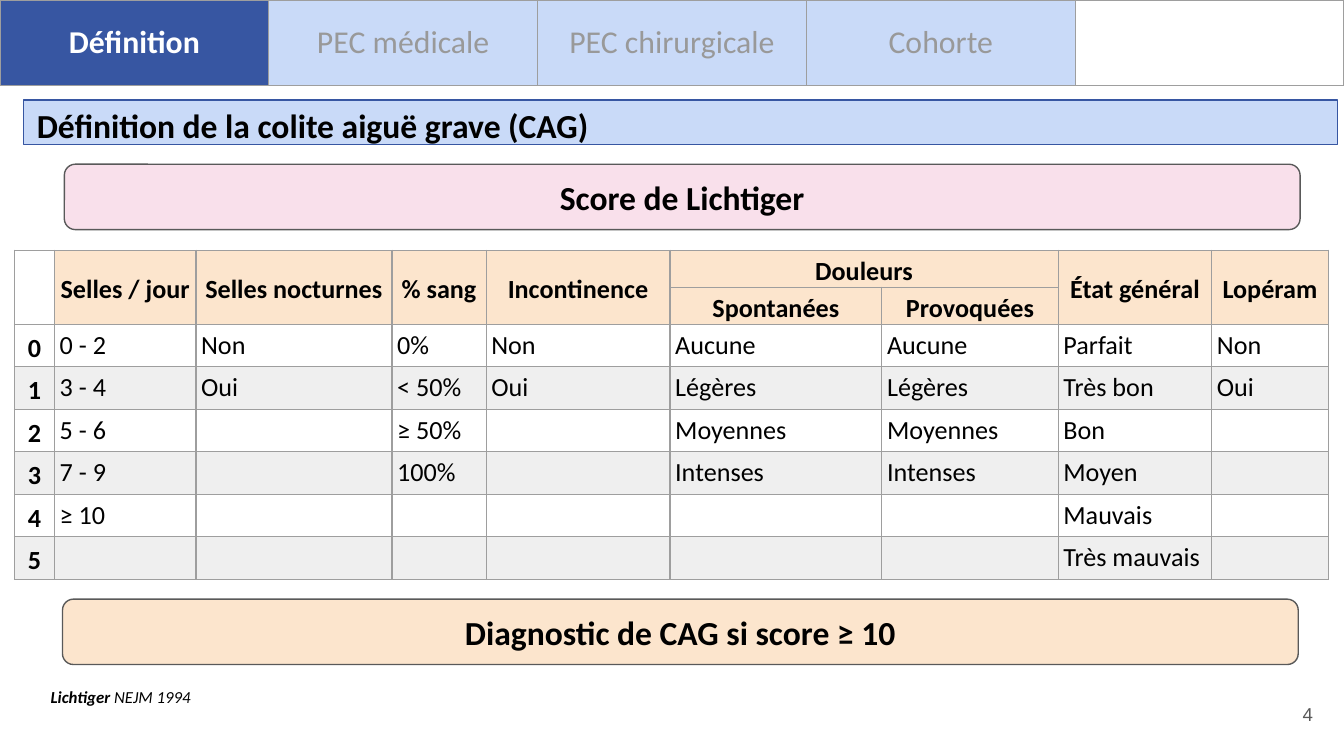
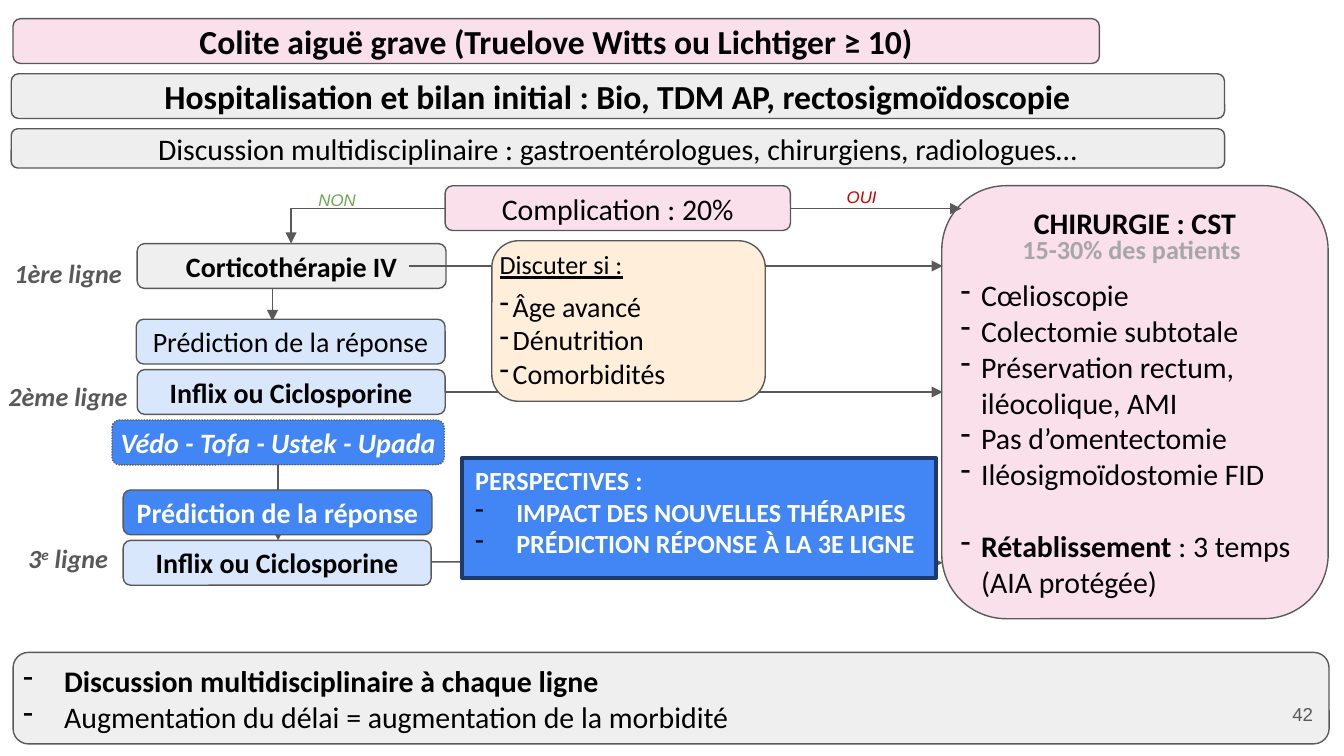
"""Build two slides on severe acute colitis: Lichtiger score and treatment pathway."""
from dataclasses import dataclass
from typing import Any, Optional, Sequence

from lxml.etree import SubElement
from pptx import Presentation
from pptx.dml.color import RGBColor
from pptx.enum.dml import MSO_LINE
from pptx.enum.shapes import MSO_CONNECTOR as Link, MSO_SHAPE as Preset
from pptx.enum.text import MSO_ANCHOR as Anchor, MSO_AUTO_SIZE as AutoSize, PP_ALIGN as Align
from pptx.oxml.ns import qn
from pptx.util import Pt

BLACK, WHITE, GREY = "000000", "FFFFFF", "595959"
PINK, PEACH, CREAM = "F9E0EB", "FCE5CD", "FFEED9"
SILVER, PEARL, PALE_BLUE = "EFEFEF", "EEEEEE", "D9E7FD"
BLUE, NAVY, SKY = "4285F4", "3756A2", "C9DAF8"
GRID, TAB_GREY, SHARE_GREY = "9E9E9E", "999999", "A6A6A6"
GREEN, RED, DARK_NAVY = "6AA84F", "CC0000", "1D3A6B"
BLANK_LINE = 19.5


@dataclass(frozen=True)
class Box:
    left: float
    top: float
    width: float
    height: float
    fill: str
    text: str = ""
    size: float = 15
    bold: bool = True
    italic: bool = False
    color: str = BLACK
    preset: Any = Preset.ROUNDED_RECTANGLE
    outline: str = GREY
    weight: float = 0.75
    dash: Any = None


@dataclass(frozen=True)
class Arrow:
    x1: float
    y1: float
    x2: float
    y2: float
    bent: bool = False


def rgb(value: str) -> RGBColor:
    return RGBColor.from_string(value)


def paint(fill, color: str) -> None:
    fill.solid()
    fill.fore_color.rgb = rgb(color)


def set_frame(frame, inset: float = 0, anchor=Anchor.TOP, side: Optional[float] = None,
              wrap: bool = True) -> None:
    frame.auto_size = AutoSize.NONE
    frame.word_wrap = wrap
    frame.vertical_anchor = anchor
    frame.margin_top = frame.margin_bottom = Pt(inset)
    frame.margin_left = frame.margin_right = Pt(inset if side is None else side)


def write(frame, text: str, *, size: float = 15, bold: bool = False, italic: bool = False,
          underline: bool = False, color: str = BLACK, font: str = "Calibri",
          align=Align.LEFT, hanging: float = 0, before: float = 0, spacing: float = 1,
          raised: bool = False, same_line: bool = False) -> None:
    para = frame.paragraphs[-1]
    if para.runs and not same_line:
        para = frame.add_paragraph()
    if not same_line:
        para.alignment = align
        para.line_spacing = spacing
        para.space_before = Pt(before)
    if hanging:
        props = para._p.get_or_add_pPr()
        props.set("marL", str(Pt(hanging)))
        props.set("indent", str(-Pt(hanging)))
        SubElement(SubElement(props, qn("a:buClr")), qn("a:srgbClr"), val=BLACK)
        SubElement(props, qn("a:buChar"), char="-")
    if not text:
        SubElement(para._p, qn("a:endParaRPr"), sz=str(int(size * 100)))
        return
    span = para.add_run()
    span.text = text
    style = span.font
    style.name, style.size, style.color.rgb = font, Pt(size), rgb(color)
    style.bold, style.italic, style.underline = bold, italic, underline
    if raised:
        span._r.get_or_add_rPr().set("baseline", "30000")


def add_box(page, box: Box):
    shape = page.shapes.add_shape(box.preset, Pt(box.left), Pt(box.top), Pt(box.width), Pt(box.height))
    shape.shadow.inherit = False
    paint(shape.fill, box.fill)
    paint(shape.line.fill, box.outline)
    shape.line.width = Pt(box.weight)
    if box.dash:
        shape.line.dash_style = box.dash
    set_frame(shape.text_frame, anchor=Anchor.MIDDLE)
    if box.text:
        write(shape.text_frame, box.text, size=box.size, bold=box.bold, italic=box.italic,
              color=box.color, align=Align.CENTER)
    return shape


def add_panel(page, box: Box, inset: float = 0, side: Optional[float] = None):
    frame = add_box(page, box).text_frame
    set_frame(frame, inset, side=side)
    return frame


def add_label(page, left: float, top: float, width: float, height: float, text: str, *,
              inset: float = 7.2, anchor=Anchor.TOP, wrap: bool = True, **style):
    frame = page.shapes.add_textbox(Pt(left), Pt(top), Pt(width), Pt(height)).text_frame
    set_frame(frame, inset, anchor, wrap=wrap)
    write(frame, text, **style)
    return frame


def add_arrow(page, arrow: Arrow) -> None:
    kind = Link.ELBOW if arrow.bent else Link.STRAIGHT
    link = page.shapes.add_connector(kind, Pt(arrow.x1), Pt(arrow.y1), Pt(arrow.x2), Pt(arrow.y2))
    props = link._element.spPr
    if arrow.bent:
        props.find(qn("a:prstGeom")).set("prst", "bentConnector2")
    paint(link.line.fill, GREY)
    link.line.width = Pt(0.75)
    SubElement(link.line._get_or_add_ln(), qn("a:tailEnd"), type="triangle")
    SubElement(props, qn("a:effectLst"))


def place_title(page, text: str, left: float, top: float, width: float, height: float,
                side: float = 7.2, **style):
    title = page.shapes.title
    title.left, title.top, title.width, title.height = Pt(left), Pt(top), Pt(width), Pt(height)
    set_frame(title.text_frame, 0, Anchor.MIDDLE, side)
    write(title.text_frame, text, size=18, bold=True, **style)
    page.shapes._spTree.append(title._element)
    return title


def add_page_number(page, number: str) -> None:
    add_label(page, 667.5, 367, 43, 31, number, anchor=Anchor.MIDDLE, size=10, font="Arial",
              color=GREY, align=Align.RIGHT)


def add_grid(page, left: float, top: float, widths: Sequence[float], heights: Sequence[float]):
    table = page.shapes.add_table(len(heights), len(widths), Pt(left), Pt(top),
                                  Pt(sum(widths)), Pt(sum(heights))).table
    table.first_row = table.horz_banding = False
    for column, width in zip(table.columns, widths):
        column.width = Pt(width)
    for row, height in zip(table.rows, heights):
        row.height = Pt(height)
    return table


def fill_cell(cell, text: str, fill: str, *, bottom: float = 0, side: float = 2.8,
              anchor=Anchor.TOP, **style) -> None:
    cell.margin_left = cell.margin_right = Pt(side)
    cell.margin_top, cell.margin_bottom = Pt(2.8), Pt(bottom)
    cell.vertical_anchor = anchor
    props = cell._tc.get_or_add_tcPr()
    for edge in ("a:lnL", "a:lnR", "a:lnT", "a:lnB"):
        line = SubElement(props, qn(edge), w=str(Pt(0.75)))
        SubElement(SubElement(line, qn("a:solidFill")), qn("a:srgbClr"), val=GRID)
    paint(cell.fill, fill)
    write(cell.text_frame, text, **style)


SECTIONS = ("Définition", "PEC médicale", "PEC chirurgicale", "Cohorte", "")
SCORE_WIDTHS = (21.5, 75.75, 105, 50.5, 98.5, 113.5, 94.5, 82.25, 62.5)
SCORE_HEADERS = (
    ("", "Selles / jour", "Selles nocturnes", "% sang", "Incontinence", "Douleurs", "",
     "État général", "Lopéram"),
    ("", "", "", "", "", "Spontanées", "Provoquées", "", ""),
)
SCORE_ROWS = (
    ("0 - 2", "Non", "0%", "Non", "Aucune", "Aucune", "Parfait", "Non"),
    ("3 - 4", "Oui", "< 50%", "Oui", "Légères", "Légères", "Très bon", "Oui"),
    ("5 - 6", "", "≥ 50%", "", "Moyennes", "Moyennes", "Bon", ""),
    ("7 - 9", "", "100%", "", "Intenses", "Intenses", "Moyen", ""),
    ("≥ 10", "", "", "", "", "", "Mauvais", ""),
    ("", "", "", "", "", "", "Très mauvais", ""),
)


def add_section_tabs(page, active: str) -> None:
    tabs = add_grid(page, 0, 0, [144] * len(SECTIONS), [45.75])
    for cell, name in zip(tabs.rows[0].cells, SECTIONS):
        current = name == active
        fill = NAVY if current else SKY if name else WHITE
        fill_cell(cell, name, fill, bottom=2.8, anchor=Anchor.MIDDLE, size=17, bold=current,
                  color=WHITE if current else TAB_GREY, align=Align.CENTER)


def add_score_table(page) -> None:
    table = add_grid(page, 7.75, 134, SCORE_WIDTHS, [19.75] * 2 + [22.8] * len(SCORE_ROWS))
    heading = dict(anchor=Anchor.MIDDLE, size=14, bold=True, align=Align.CENTER)
    for row, names in enumerate(SCORE_HEADERS):
        for column, name in enumerate(names):
            fill_cell(table.cell(row, column), name, PEACH if column else WHITE, **heading)
    for column in (0, 1, 2, 3, 4, 7, 8):
        table.cell(0, column).merge(table.cell(1, column))
    table.cell(0, 5).merge(table.cell(0, 6))
    for points, values in enumerate(SCORE_ROWS):
        cells = list(table.rows[points + 2].cells)
        fill = SILVER if points % 2 else WHITE
        fill_cell(cells[0], str(points), fill, **heading)
        for cell, value in zip(cells[1:], values):
            fill_cell(cell, value, fill, size=14)


def build_score_page(deck) -> None:
    page = deck.slides.add_slide(deck.slide_layouts[5])
    add_box(page, Box(34.5, 88, 662, 35, PINK, "Score de Lichtiger", 18))
    source = add_label(page, 20, 328, 700, 58, "Lichtiger ", anchor=Anchor.BOTTOM, size=9,
                       bold=True, italic=True)
    write(source, "NEJM 1994", size=9, italic=True, same_line=True)
    add_score_table(page)
    add_box(page, Box(33.5, 321, 662, 35, PEACH, "Diagnostic de CAG si score ≥ 10", 18))
    add_page_number(page, "4")
    add_section_tabs(page, "Définition")
    title = place_title(page, "Définition de la colite aiguë grave (CAG)", 12.5, 53.5, 704, 24,
                        spacing=1.15)
    paint(title.fill, SKY)
    paint(title.line.fill, NAVY)
    title.line.width = Pt(0.75)


ARROWS = (
    Arrow(423.5, 111.75, 515, 111.75),
    Arrow(146, 155, 146, 172),
    Arrow(238.5, 210, 505, 210),
    Arrow(219, 142.5, 505, 142.5),
    Arrow(238.5, 111.75, 156, 130.5, bent=True),
    Arrow(149, 249, 149, 289.5),
    Arrow(231, 301, 505, 301.5),
)
CARE_STEPS = (
    Box(73.5, 198, 165, 24, PALE_BLUE, "Inflix ou Ciclosporine"),
    Box(73, 171, 165.5, 24, PALE_BLUE, "Prédiction de la réponse", bold=False),
    Box(66, 289.5, 165, 24, PALE_BLUE, "Inflix ou Ciclosporine"),
    Box(60, 225, 178, 24, BLUE, "Védo - Tofa - Ustek - Upada", italic=True, color=WHITE,
        dash=MSO_LINE.ROUND_DOT),
    Box(66, 262.5, 165.5, 24, BLUE, "Prédiction de la réponse", color=WHITE),
    Box(6, 39.5, 650, 24, PEARL,
        "Hospitalisation et bilan initial : Bio, TDM AP, rectosigmoïdoscopie", 18),
    Box(6, 69, 650, 21, PEARL,
        "Discussion multidisciplinaire : gastroentérologues, chirurgiens, radiologues…", 16, False),
)
SURGERY = ("Cœlioscopie", "Colectomie subtotale", "Préservation rectum, iléocolique, AMI",
           "Pas d’omentectomie", "Iléosigmoïdostomie FID")
RISKS = ("Âge avancé", "Dénutrition", "Comorbidités")
OUTLOOK = ("IMPACT DES NOUVELLES THÉRAPIES", "PRÉDICTION RÉPONSE À LA 3E LIGNE")


def build_pathway_page(deck) -> None:
    page = deck.slides.add_slide(deck.slide_layouts[5])
    add_box(page, Box(238.5, 99.5, 185, 24, PINK, "Complication : 20%", 16, False))
    surgery = add_panel(page, Box(504.5, 99.5, 207, 232, PINK))
    write(surgery, "CHIRURGIE : CST", size=16, bold=True, align=Align.CENTER)
    for index, step in enumerate(SURGERY):
        write(surgery, step, size=16, hanging=11, before=0 if index else BLANK_LINE)
    write(surgery, "Rétablissement", size=16, bold=True, hanging=11, before=BLANK_LINE)
    write(surgery, " : 3 temps (AIA protégée)", size=16, same_line=True)
    add_box(page, Box(73.5, 130.5, 165.5, 24, SILVER, "Corticothérapie IV"))
    summary = add_panel(page, Box(7, 349.5, 705, 49, SILVER), 3)
    write(summary, "Discussion multidisciplinaire à chaque ligne", size=16, bold=True, hanging=22)
    write(summary, "Augmentation du délai = augmentation de la morbidité", size=16, hanging=22)

    for arrow in ARROWS:
        add_arrow(page, arrow)
    for box in CARE_STEPS:
        add_box(page, box)
    line_style = dict(size=14, bold=True, italic=True, color=GREY)
    for top, rank in ((135, "1ère"), (201, "2ème"), (287.5, "3")):
        raised = "e" if rank == "3" else ""
        label = add_label(page, 0, top, 73, 23, rank, inset=3, align=Align.CENTER, **line_style)
        if raised:
            write(label, raised, raised=True, same_line=True, **line_style)
        write(label, " ligne", same_line=True, **line_style)
    answer = dict(size=9, font="Arial", italic=True)
    add_label(page, 163.5, 94.5, 307, 25, "NON", color=GREEN, **answer)
    add_label(page, 446.5, 93, 35, 25, "OUI", color=RED, **answer)
    add_page_number(page, "42")

    risks = add_panel(page, Box(263.5, 129, 146.5, 86, CREAM))
    write(risks, "Discuter si :", size=14, underline=True)
    for index, risk in enumerate(RISKS):
        write(risks, risk, hanging=7, before=0 if index else 5)
    outlook = add_panel(page, Box(247.5, 245.5, 254, 64, BLUE, preset=Preset.RECTANGLE,
                                  outline=DARK_NAVY, weight=2), 3.6, 7.2)
    write(outlook, "PERSPECTIVES :", size=14, bold=True, color=WHITE)
    for item in OUTLOOK:
        write(outlook, item, size=14, bold=True, color=WHITE, hanging=22)
    add_label(page, 540, 121.5, 132.5, 24.5, "15-30% des patients", inset=3.6, wrap=False, size=14,
              bold=True, color=SHARE_GREY, align=Align.CENTER)
    add_box(page, Box(7, 10, 582, 24, PINK))
    place_title(page, "Colite aiguë grave (Truelove Witts ou Lichtiger ≥ 10)", 7, 10, 582, 24,
                align=Align.CENTER)


def main() -> None:
    deck = Presentation()
    deck.slide_width, deck.slide_height = Pt(720), Pt(405)
    build_score_page(deck)
    build_pathway_page(deck)
    deck.save("out.pptx")


if __name__ == "__main__":
    main()
